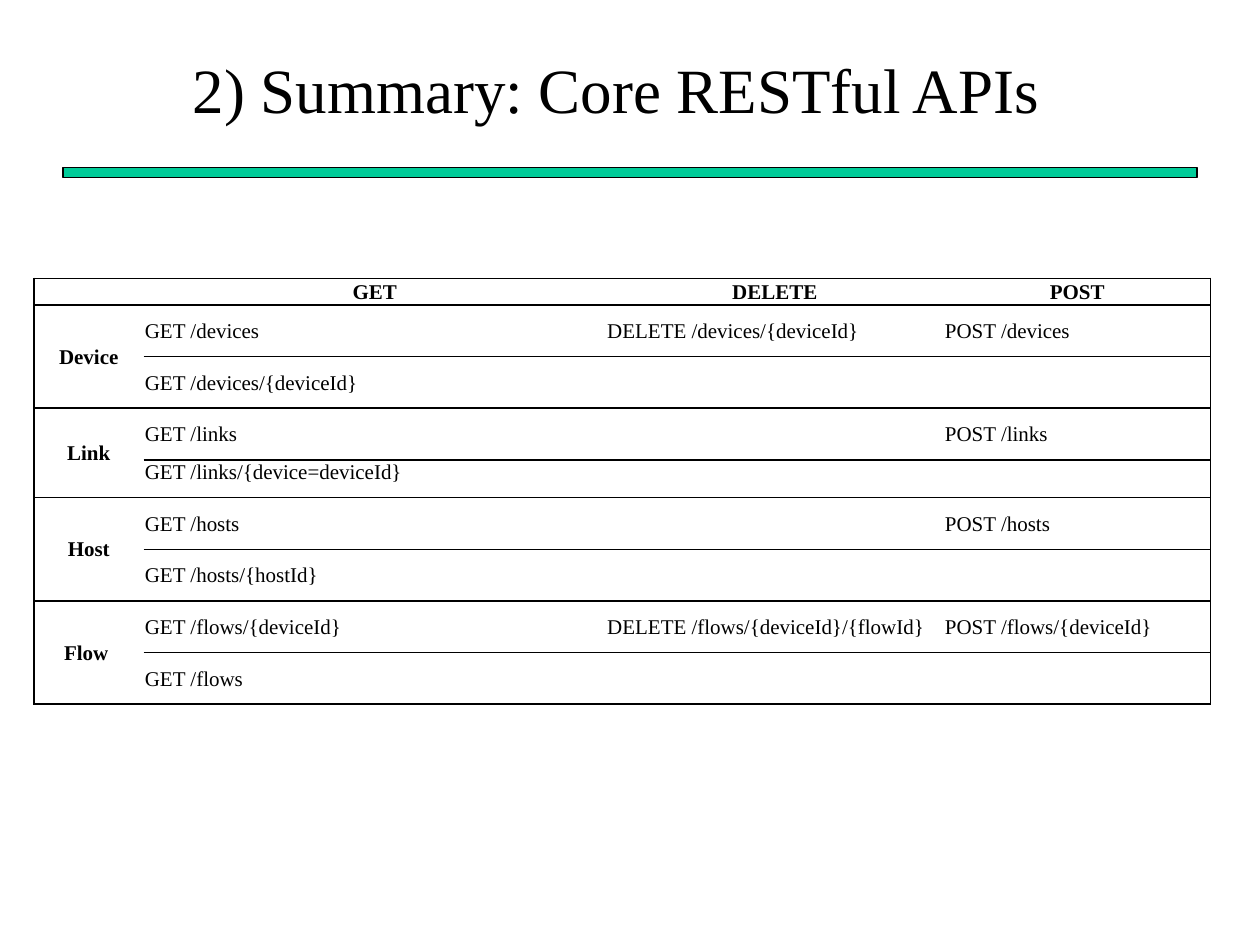
from lxml import etree
from pptx import Presentation
from pptx import util as u
from pptx.dml.color import RGBColor
from pptx.enum import shapes, text
from pptx.oxml import ns

COLORS = {"ink": "000000", "paper": "FFFFFF", "rule": "00CC99"}
FONT = "Times New Roman"

presentation = Presentation()
presentation.slide_width, presentation.slide_height = u.Inches(10), u.Inches(7.5)
slide = presentation.slides.add_slide(presentation.slide_layouts[6])


def write(frame, words, size, bold=False, align=text.PP_ALIGN.CENTER):
    paragraph = frame.paragraphs[0]
    paragraph.alignment = align
    if not words:
        paragraph._p.get_or_add_endParaRPr().set("sz", str(size * 100))
        return
    run = paragraph.add_run()
    run.text = words
    run.font.name, run.font.size, run.font.bold = FONT, u.Pt(size), bold
    run.font.color.rgb = RGBColor.from_string(COLORS["ink"])


def set_border(cell, side, visible):
    properties = cell._tc.get_or_add_tcPr()
    line = etree.SubElement(properties, ns.qn(f"a:ln{side}"), w=str(u.Pt(1)))
    if visible:
        fill = etree.SubElement(line, ns.qn("a:solidFill"))
        etree.SubElement(fill, ns.qn("a:srgbClr"), val=COLORS["ink"])
    else:
        etree.SubElement(line, ns.qn("a:noFill"))


rule = slide.shapes.add_shape(
    shapes.MSO_SHAPE.RECTANGLE, u.Inches(0.5), u.Inches(1.33), u.Inches(9), u.Inches(0.08))
rule.shadow.inherit = False
rule.fill.solid()
rule.fill.fore_color.rgb = RGBColor.from_string(COLORS["rule"])
rule.line.color.rgb = RGBColor.from_string(COLORS["ink"])
rule.line.width = u.Pt(0.75)

title = slide.shapes.add_textbox(u.Inches(0.17), u.Inches(0.24), u.Inches(9.44), u.Inches(0.92))
title.text_frame.word_wrap = True
title.text_frame.vertical_anchor = text.MSO_ANCHOR.MIDDLE
write(title.text_frame, "2) Summary: Core RESTful APIs", 36)

rows = [
    ("", "GET", "DELETE", "POST"),
    ("Device", "GET /devices", "DELETE /devices/{deviceId}", "POST /devices"),
    ("", "GET /devices/{deviceId}", "", ""),
    ("Link", "GET /links", "", "POST /links"),
    ("", "GET /links/{device=deviceId}", "", ""),
    ("Host", "GET /hosts", "", "POST /hosts"),
    ("", "GET /hosts/{hostId}", "", ""),
    ("Flow ", "GET /flows/{deviceId}", "DELETE /flows/{deviceId}/{flowId}", "POST /flows/{deviceId}"),
    ("", "GET /flows", "", ""),
]
column_widths = [0.87, 3.67, 2.68, 2.12]
HEADER_ROW, SHORT_ROW = 0, 4
row_heights = [0.41] * len(rows)
row_heights[HEADER_ROW], row_heights[SHORT_ROW] = 0.19, 0.3

table = slide.shapes.add_table(
    len(rows), len(column_widths), u.Inches(0.27), u.Inches(2.21),
    u.Inches(sum(column_widths)), u.Inches(sum(row_heights))).table
table.first_row = table.horz_banding = False
for column, width in zip(table.columns, column_widths):
    column.width = u.Inches(width)
for row, height in zip(table.rows, row_heights):
    row.height = u.Inches(height)

for r, row in enumerate(rows):
    for c, words in enumerate(row):
        cell = table.cell(r, c)
        for side, visible in (("L", c == 0), ("R", c == len(row) - 1), ("T", True), ("B", True)):
            set_border(cell, side, visible)
        cell.fill.solid()
        cell.fill.fore_color.rgb = RGBColor.from_string(COLORS["paper"])
        cell.margin_left = cell.margin_right = cell.margin_top = u.Inches(0.01)
        cell.margin_bottom = 0
        top_aligned = r == SHORT_ROW and c == 1
        cell.vertical_anchor = text.MSO_ANCHOR.TOP if top_aligned else text.MSO_ANCHOR.MIDDLE
        heading = r == HEADER_ROW or c == 0
        align = text.PP_ALIGN.CENTER if heading else text.PP_ALIGN.LEFT
        write(cell.text_frame, words, 12, heading, align)

for r in range(1, len(rows), 2):
    table.cell(r, 0).merge(table.cell(r + 1, 0))

presentation.save("out.pptx")
